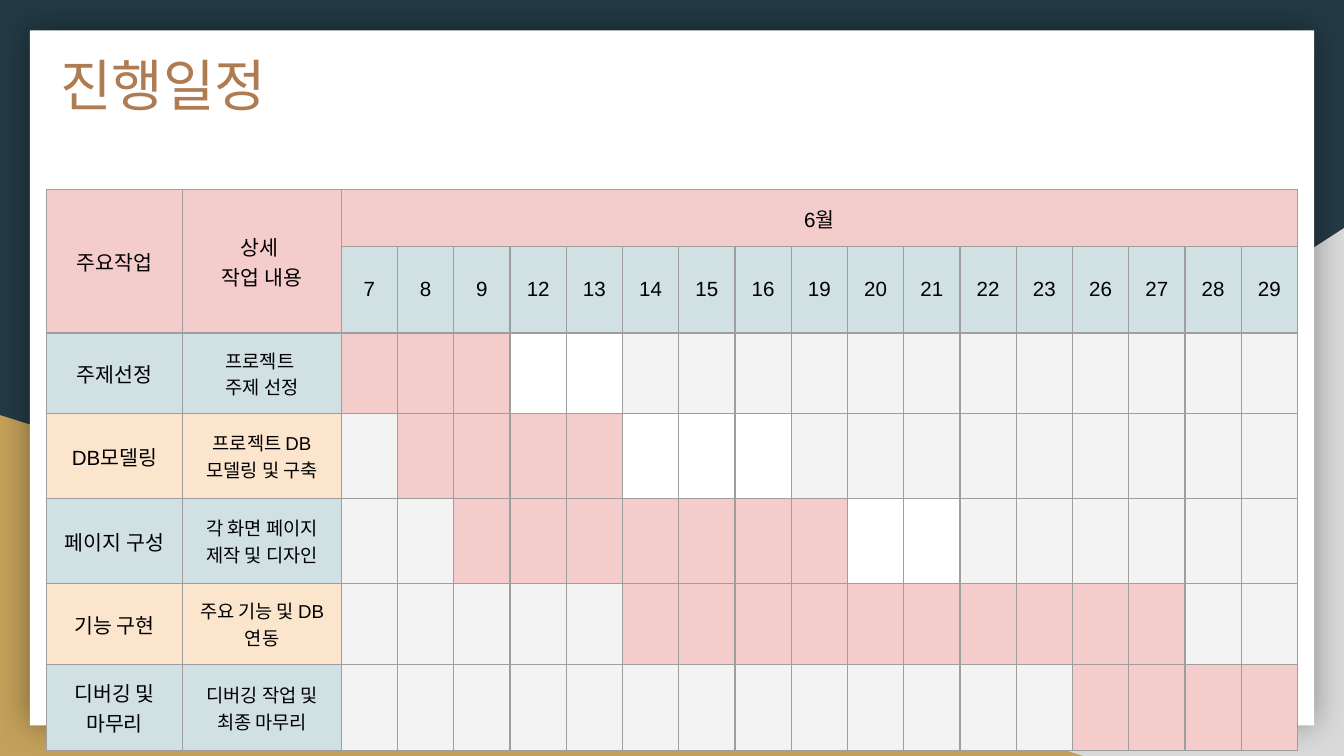
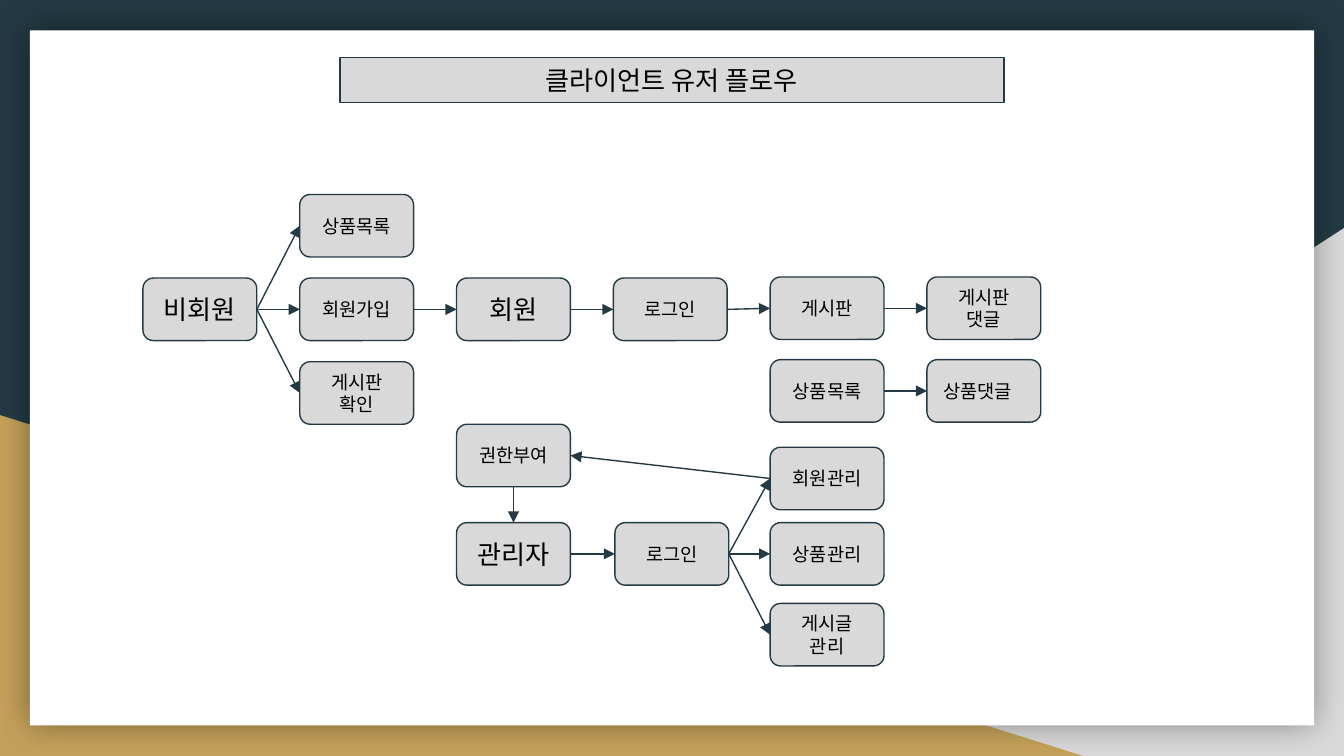
from lxml import etree
from pptx import Presentation
from pptx import util as u
from pptx.dml.color import RGBColor
from pptx.enum import shapes, text
from pptx.oxml.ns import qn

Pt = u.Pt
C = dict(navy="233A44", gold="C4A15A", grey="D9D9D9", white="FFFFFF",
         black="000000", brown="AF7B51", border="9E9E9E", pink="F4CCCC",
         blue="D0E0E3", peach="FCE5CD", idle="F3F3F3")
BODY, HEAD = "Arial", "TeX Gyre Adventor"
INSET = Pt(7.2)

DAYS = [7, 8, 9, 12, 13, 14, 15, 16, 19, 20, 21, 22, 23, 26, 27, 28, 29]
COL_WIDTHS = [73, 85] + [30.14] * len(DAYS)
ROW_HEIGHTS = [26, 23, 34.5, 45.5, 45.5, 36.5, 39]
TASKS = [
    ("주제선정", "프로젝트 \n주제 선정", 0, 3, 2),
    ("DB모델링", "프로젝트 DB 모델링 및 구축", 1, 4, 3),
    ("페이지 구성", "각 화면 페이지 제작 및 디자인", 2, 7, 2),
    ("기능 구현", "주요 기능 및 DB연동", 5, 10, 0),
    ("디버깅 및 마무리", "디버깅 작업 및 최종 마무리", 13, 4, 0),
]

NODE_W, NODE_H, NODE_LEFT, NODE_PITCH = 61, 33.5, 76.6, 84
NODES = {
    "guest": ("비회원", 0, 149, 14),
    "guest_goods": ("상품목록", 1, 104.2, 10),
    "join": ("회원가입", 1, 149, 10),
    "guest_board": ("게시판 확인", 1, 193.8, 10),
    "member": ("회원", 2, 149, 14),
    "member_login": ("로그인", 3, 149, 10),
    "board": ("게시판", 4, 148.4, 10),
    "board_reply": ("게시판 댓글", 5, 148.4, 10),
    "goods": ("상품목록", 4, 192.7, 10),
    "goods_reply": ("상품댓글", 5, 192.7, 10),
    "grant": ("권한부여", 2, 227.3, 10),
    "admin": ("관리자", 2, 280, 14),
    "admin_login": ("로그인", 3.01, 280, 10),
    "manage_members": ("회원관리", 4, 239.6, 10),
    "manage_goods": ("상품관리", 4, 280, 10),
    "manage_posts": ("게시글 관리", 4, 323.3, 10),
}
TOP, LEFT, BOTTOM, RIGHT = range(4)
FORWARD_LINKS = [
    ("guest", "guest_goods"), ("guest", "join"), ("guest", "guest_board"),
    ("join", "member"), ("member", "member_login"), ("member_login", "board"),
    ("board", "board_reply"), ("goods", "goods_reply"),
    ("admin", "admin_login"), ("admin_login", "manage_members"),
    ("admin_login", "manage_goods"), ("admin_login", "manage_posts"),
]


def rgb(name):
    return RGBColor.from_string(C[name])


def fill(obj, color):
    obj.fill.solid()
    obj.fill.fore_color.rgb = rgb(color)


def outline(obj):
    obj.line.color.rgb = rgb("navy")
    obj.line.width = Pt(0.75)


def add_color(parent, color):
    return etree.SubElement(parent, qn("a:srgbClr"), val=C[color])


def write(tf, content, size, color="black", font=BODY,
          align=text.PP_ALIGN.CENTER):
    p = tf.paragraphs[0]
    p.alignment = align
    for i, line in enumerate(content.split("\n")):
        if i:
            p.add_line_break()
        r = p.add_run()
        r.text = line
        r.font.size = Pt(size)
        r.font.name = font
        r.font.color.rgb = rgb(color)


def setup_frame(tf, anchor=text.MSO_ANCHOR.MIDDLE):
    tf.word_wrap = True
    tf.auto_size = text.MSO_AUTO_SIZE.NONE
    tf.vertical_anchor = anchor
    tf.margin_left = tf.margin_right = tf.margin_top = tf.margin_bottom = INSET


def add_box(s, kind, x, y, w, h, color):
    sp = s.shapes.add_shape(kind, Pt(x), Pt(y), Pt(w), Pt(h))
    sp.shadow.inherit = False
    fill(sp, color)
    return sp


def decorate_master(prs, s):
    fill(prs.slide_master.background, "navy")
    kind = shapes.MSO_SHAPE
    corner = add_box(s, kind.RIGHT_TRIANGLE, 282.2, 122.2, 437.8, 282.8, "grey")
    corner.element.spPr.find(qn("a:xfrm")).set("flipH", "1")
    wedge = add_box(s, kind.RIGHT_TRIANGLE, 0, 222.4, 580.3, 182.6, "gold")
    panel = add_box(s, kind.RECTANGLE, 16, 16.2, 688, 372.4, "white")
    effects = panel.element.spPr.find(qn("a:effectLst"))
    glow = etree.SubElement(effects, qn("a:outerShdw"), blurRad=str(Pt(18)),
                            dist="0", dir="0", algn="ctr", rotWithShape="0")
    etree.SubElement(add_color(glow, "black"), qn("a:alpha"), val="40000")
    for i, sp in enumerate((corner, wedge, panel)):
        sp.line.fill.background()
        prs.slide_master.shapes.element.insert(2 + i, sp.element)


def place_title(s, x, y, w, h, anchor):
    sp = s.shapes.title
    sp.left, sp.top, sp.width, sp.height = Pt(x), Pt(y), Pt(w), Pt(h)
    setup_frame(sp.text_frame, anchor)
    return sp


def set_cell(cell, color, content="", size=11):
    cell.margin_left = cell.margin_right = INSET
    cell.margin_top = cell.margin_bottom = INSET
    cell.vertical_anchor = text.MSO_ANCHOR.MIDDLE
    tcPr = cell._tc.get_or_add_tcPr()
    for side in ("lnL", "lnR", "lnT", "lnB"):
        ln = etree.SubElement(tcPr, qn("a:" + side), w=str(Pt(0.75)))
        add_color(etree.SubElement(ln, qn("a:solidFill")), "border")
    fill(cell, color)
    if content:
        write(cell.text_frame, content, size)


def add_schedule(s):
    frame = s.shapes.add_table(len(ROW_HEIGHTS), len(COL_WIDTHS), Pt(24.9),
                               Pt(101.7), Pt(sum(COL_WIDTHS)), Pt(sum(ROW_HEIGHTS)))
    tbl = frame.table
    tbl.first_row = tbl.horz_banding = False
    for col, width in zip(tbl.columns, COL_WIDTHS):
        col.width = Pt(width)
    for row, height in zip(tbl.rows, ROW_HEIGHTS):
        row.height = Pt(height)
    heads = {0: "주요작업", 1: "상세 \n작업 내용", 2: "6월"}
    for c in range(len(COL_WIDTHS)):
        set_cell(tbl.cell(0, c), "pink", heads.get(c, ""))
        if c < 2:
            set_cell(tbl.cell(1, c), "pink")
            tbl.cell(0, c).merge(tbl.cell(1, c))
        else:
            set_cell(tbl.cell(1, c), "blue", str(DAYS[c - 2]))
    tbl.cell(0, 2).merge(tbl.cell(0, len(COL_WIDTHS) - 1))
    for i, (task, detail, start, work, spare) in enumerate(TASKS):
        band = "peach" if i % 2 else "blue"
        set_cell(tbl.cell(i + 2, 0), band, task)
        set_cell(tbl.cell(i + 2, 1), band, detail, 10)
        end = start + work
        for d in range(len(DAYS)):
            color = ("pink" if start <= d < end
                     else "white" if end <= d < end + spare else "idle")
            set_cell(tbl.cell(i + 2, d + 2), color)


def add_node(s, label, col, top, size):
    sp = add_box(s, shapes.MSO_SHAPE.ROUNDED_RECTANGLE,
                 NODE_LEFT + NODE_PITCH * col, top, NODE_W, NODE_H, "grey")
    outline(sp)
    setup_frame(sp.text_frame)
    align = text.PP_ALIGN.LEFT if label == "상품댓글" else text.PP_ALIGN.CENTER
    write(sp.text_frame, label, size, align=align)
    return sp


def add_arrow(s, start, end, start_side=RIGHT, end_side=LEFT):
    cx = s.shapes.add_connector(shapes.MSO_CONNECTOR.STRAIGHT, 0, 0, 0, 0)
    cx.begin_connect(start, start_side)
    cx.end_connect(end, end_side)
    outline(cx)
    etree.SubElement(cx.line._get_or_add_ln(), qn("a:tailEnd"),
                     type="triangle", w="med", len="med")
    etree.SubElement(cx.element.spPr, qn("a:effectLst"))


def schedule_slide(s):
    sp = place_title(s, 25, 20, 591, 75, text.MSO_ANCHOR.TOP)
    write(sp.text_frame, "진행일정", 30, "brown", HEAD, text.PP_ALIGN.LEFT)
    add_schedule(s)


def flow_slide(s):
    sp = place_title(s, 182.2, 30.8, 355.6, 24.2, text.MSO_ANCHOR.MIDDLE)
    fill(sp, "grey")
    outline(sp)
    write(sp.text_frame, "클라이언트 유저 플로우", 14)
    nodes = {key: add_node(s, *node) for key, node in NODES.items()}
    for start, end in FORWARD_LINKS:
        add_arrow(s, nodes[start], nodes[end])
    add_arrow(s, nodes["manage_members"], nodes["grant"], LEFT, RIGHT)
    add_arrow(s, nodes["grant"], nodes["admin"], BOTTOM, TOP)


def main():
    prs = Presentation()
    prs.slide_width, prs.slide_height = Pt(720), Pt(405)
    layout = prs.slide_layouts.get_by_name("Title Only")
    schedule, flow = [prs.slides.add_slide(layout) for _ in range(2)]
    decorate_master(prs, schedule)
    schedule_slide(schedule)
    flow_slide(flow)
    prs.save("out.pptx")


if __name__ == "__main__":
    main()
